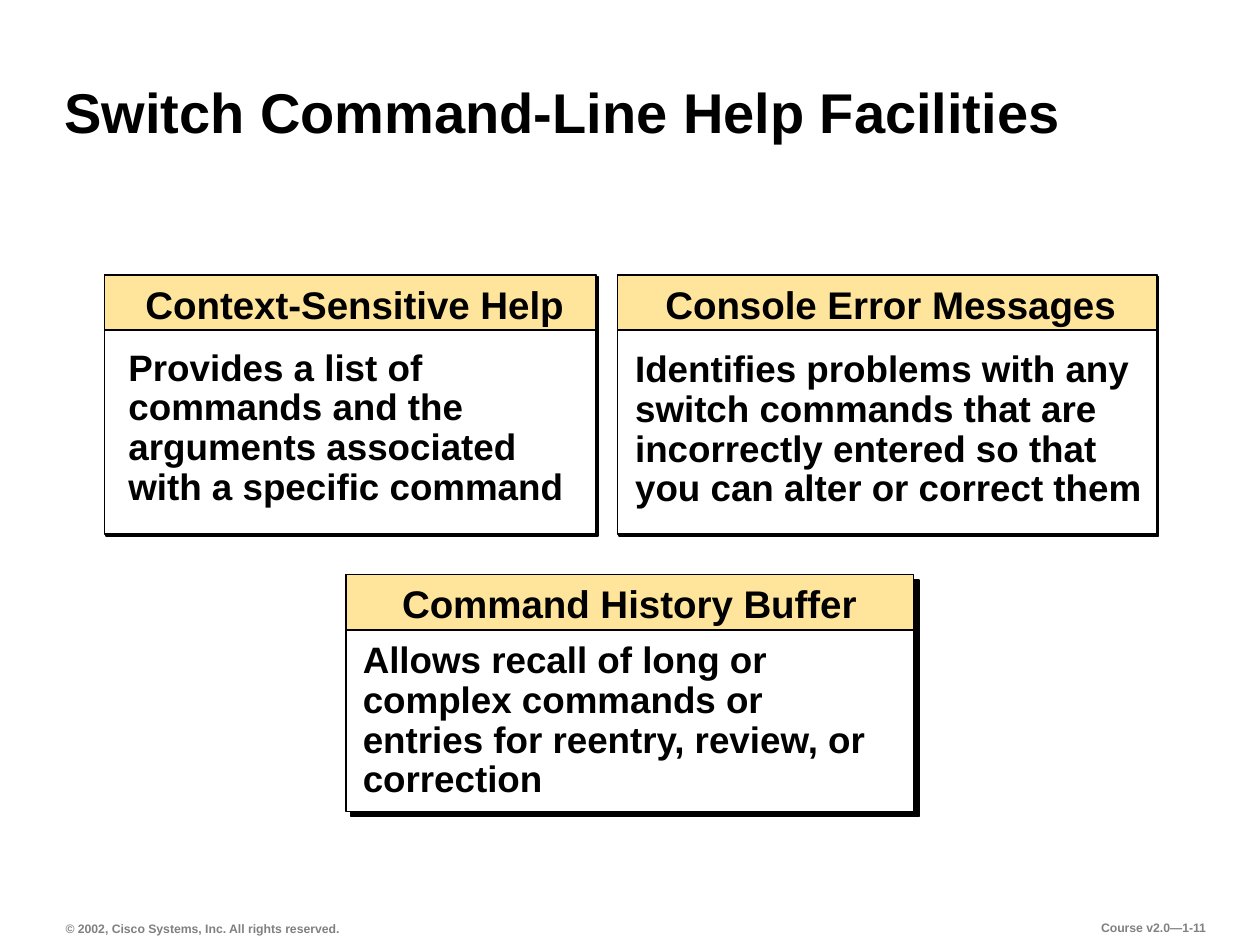
"""Build the slide on switch command-line help facilities."""
from dataclasses import dataclass

from lxml.etree import SubElement
from pptx import Presentation
from pptx.dml.color import RGBColor
from pptx.enum.shapes import MSO_SHAPE
from pptx.enum.text import MSO_ANCHOR, PP_ALIGN
from pptx.oxml.ns import qn
from pptx.util import Pt

COLORS = {"ink": "000000", "paper": "FFFFFF", "header": "FFE59B", "footer": "808080"}
FONT = "Arial"
HEADER_H = 31.7


@dataclass
class Box:
    x: float
    y: float
    w: float
    h: float


@dataclass
class Card:
    frame: Box
    shadow: float
    heading: str
    heading_box: Box
    body: str
    body_box: Box


CARDS = [
    Card(Box(59.8, 157, 280.8, 148.3), 1.4,
         "Context-Sensitive Help", Box(74.9, 156.2, 255.6, 34.6),
         "Provides a list of commands and the arguments associated\nwith a specific command",
         Box(65.5, 195.8, 283.7, 98.6)),
    Card(Box(352.8, 157, 308.2, 148.3), 1.4,
         "Console Error Messages", Box(372.2, 156.2, 273.6, 34.6),
         "Identifies problems with any switch commands that are "
         "incorrectly entered so that you can alter or correct them",
         Box(355, 196.6, 318.2, 98.6)),
    Card(Box(197.6, 328.3, 324.5, 135.4), 4.2,
         "Command History Buffer", Box(221.8, 327.6, 275.8, 34.6),
         "Allows recall of long or complex commands or "
         "entries for reentry, review, or correction",
         Box(199.4, 362.9, 318.2, 98.6)),
]


def rgb(name: str) -> RGBColor:
    """Return a named colour."""
    return RGBColor.from_string(COLORS[name])


def place(sp, box: Box) -> None:
    """Move and size a shape."""
    sp.left, sp.top, sp.width, sp.height = (Pt(v) for v in (box.x, box.y, box.w, box.h))


def write(sp, text: str, size: float, color: str = "ink", align=PP_ALIGN.LEFT,
          anchor=MSO_ANCHOR.MIDDLE, wrap: bool = False, spacing: float = 1.0,
          inset: tuple[float, float] = (7.9, 4.3)) -> None:
    """Write one bold paragraph, breaking lines at newlines."""
    tf = sp.text_frame
    tf.word_wrap = wrap
    tf.vertical_anchor = anchor
    tf.margin_left = tf.margin_right = Pt(inset[0])
    tf.margin_top = tf.margin_bottom = Pt(inset[1])
    p = tf.paragraphs[0]
    p.alignment = align
    p.line_spacing = spacing
    for i, line in enumerate(text.split("\n")):
        if i:
            p.add_line_break()
        r = p.add_run()
        r.text = line
        r.font.name, r.font.size, r.font.bold = FONT, Pt(size), True
        r.font.color.rgb = rgb(color)


def add_text(slide, box: Box, text: str, size: float, **style) -> None:
    """Add a text box."""
    sp = slide.shapes.add_textbox(0, 0, 0, 0)
    place(sp, box)
    write(sp, text, size, **style)


def add_rect(slide, box: Box, fill: str, shadow: float = 0) -> None:
    """Add an outlined rectangle with an optional hard diagonal shadow."""
    sp = slide.shapes.add_shape(MSO_SHAPE.RECTANGLE, 0, 0, 0, 0)
    place(sp, box)
    sp.fill.solid()
    sp.fill.fore_color.rgb = rgb(fill)
    sp.line.color.rgb = rgb("ink")
    sp.line.width = Pt(1)
    sp.shadow.inherit = False
    if shadow:
        effects = sp._element.spPr.find(qn("a:effectLst"))
        outer = SubElement(effects, qn("a:outerShdw"), blurRad="0", dist=str(int(Pt(shadow))),
                           dir="2700000", algn="ctr", rotWithShape="0")
        SubElement(outer, qn("a:srgbClr"), val=COLORS["ink"])


def add_card(slide, card: Card) -> None:
    """Draw a framed card with its header band, heading and body."""
    f = card.frame
    add_rect(slide, f, "paper", card.shadow)
    add_rect(slide, Box(f.x, f.y, f.w, HEADER_H), "header")
    add_text(slide, card.heading_box, card.heading, 22, align=PP_ALIGN.CENTER)
    add_text(slide, card.body_box, card.body, 21, wrap=True, spacing=0.9)


def main() -> None:
    """Build and save the slide."""
    prs = Presentation()
    prs.slide_width, prs.slide_height = Pt(720), Pt(540)
    slide = prs.slides.add_slide(prs.slide_layouts[5])
    title = slide.shapes.title
    place(title, Box(30.2, 20.2, 600.5, 66.2))
    write(title, "Switch Command-Line Help Facilities", 32, anchor=MSO_ANCHOR.BOTTOM,
          wrap=True, spacing=0.9, inset=(6.5, 2.9))
    for card in CARDS:
        add_card(slide, card)
    footer = {"color": "footer", "inset": (6.5, 2.9)}
    add_text(slide, Box(31, 522.7, 169.9, 15.1), "© 2002, Cisco Systems, Inc. All rights reserved.", 7,
             anchor=MSO_ANCHOR.BOTTOM, **footer)
    add_text(slide, Box(603.4, 522.7, 92.2, 15.1), "Course v2.0—1-11", 7,
             align=PP_ALIGN.RIGHT, anchor=MSO_ANCHOR.TOP, **footer)
    prs.save("out.pptx")


if __name__ == "__main__":
    main()
